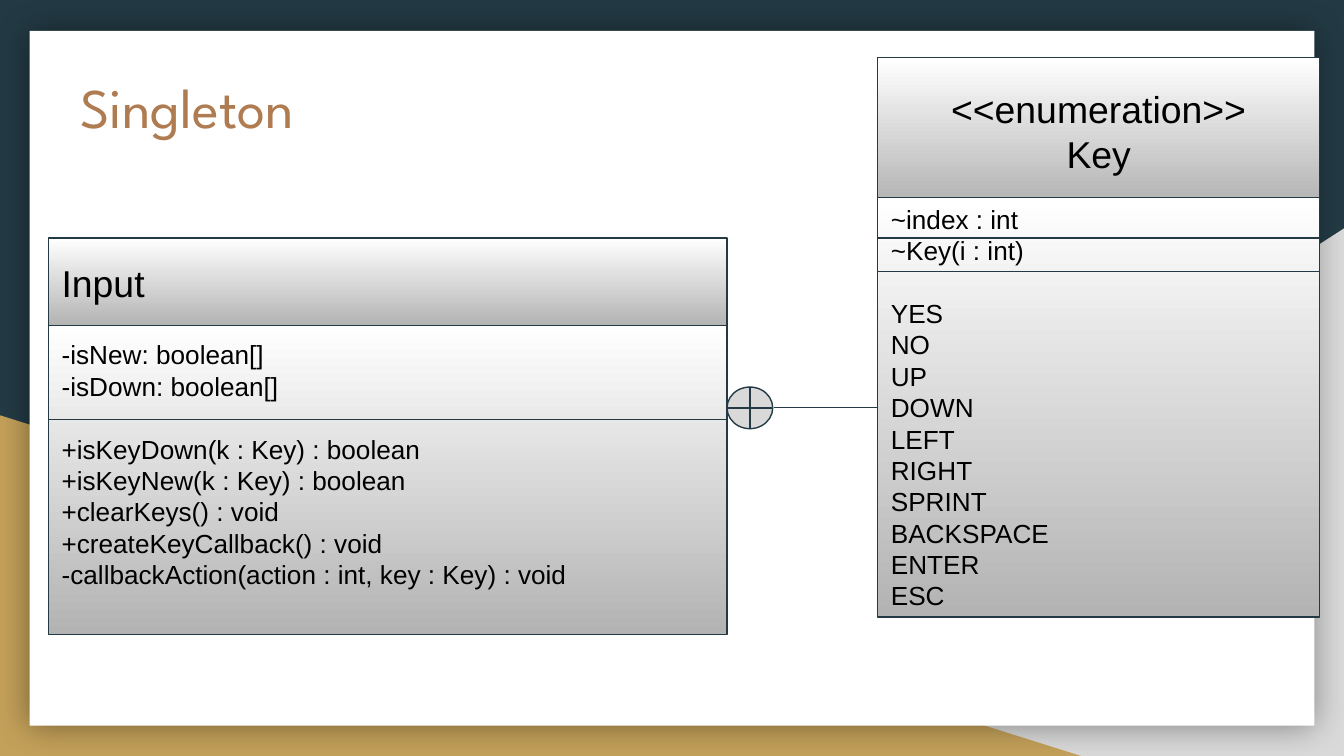
from copy import deepcopy

from lxml import etree
from pptx import Presentation, util as u
from pptx.dml.color import RGBColor
from pptx.enum import shapes, text
from pptx.oxml.ns import qn

COLORS = {
    "navy": "233A44", "gold": "C4A15A", "grey": "D9D9D9", "white": "FFFFFF",
    "silver": "B3B3B3", "black": "000000", "bronze": "AF7B51",
}
SHAPE = shapes.MSO_SHAPE
SECTION_GAP = 16.8  # one line of member text, in points
INSET = 0.1

KEY_LEFT, KEY_WIDTH = 6.53, 3.29
INPUT_LEFT, INPUT_WIDTH = 0.36, 5.05

# Sections hold paragraphs; a newline is a line break within a paragraph.
KEY_SECTIONS = [
    ["~index : int", "~Key(i : int)"],
    ["YES\nNO\nUP\nDOWN\nLEFT\nRIGHT \nSPRINT\nBACKSPACE\nENTER\nESC"],
]
INPUT_SECTIONS = [
    ["-isNew: boolean[]", "-isDown: boolean[]"],
    ["+isKeyDown(k : Key) : boolean", "+isKeyNew(k : Key) : boolean",
     "+clearKeys() : void", "+createKeyCallback() : void",
     "-callbackAction(action : int, key : Key) : void"],
]


def color(name):
    return RGBColor.from_string(COLORS[name])


def apply(target, values):
    for name, value in values.items():
        setattr(target, name, value)


def outline(line):
    line.color.rgb = color("navy")
    line.width = u.Pt(0.75)


def add_flat(parent, kind, box, fill):
    """Add a plain filled shape without outline or shadow."""
    shape = parent.add_shape(kind, *map(u.Inches, box))
    shape.fill.solid()
    shape.fill.fore_color.rgb = color(fill)
    shape.line.fill.background()
    shape.shadow.inherit = False
    return shape


def add_backdrop(slide):
    slide.background.fill.solid()
    slide.background.fill.fore_color.rgb = color("navy")
    right_corner = add_flat(slide.shapes, SHAPE.RIGHT_TRIANGLE,
                            (3.92, 1.7, 6.08, 3.93), "grey")
    right_corner._element.spPr.xfrm.set("flipH", "1")
    add_flat(slide.shapes, SHAPE.RIGHT_TRIANGLE, (0, 3.09, 8.06, 2.54), "gold")
    card = add_flat(slide.shapes, SHAPE.RECTANGLE, (0.22, 0.23, 9.56, 5.17), "white")
    effects = card._element.spPr.find(qn("a:effectLst"))
    glow = etree.SubElement(effects, qn("a:outerShdw"), blurRad=str(u.Pt(18)),
                            dist="0", dir="0", algn="ctr", rotWithShape="0")
    tint = etree.SubElement(glow, qn("a:srgbClr"), val=COLORS["black"])
    etree.SubElement(tint, qn("a:alpha"), val="40000")


def add_title(slide, wording):
    title = slide.shapes.title
    slide.shapes._spTree.append(title._element)  # bring in front of the card
    apply(title, dict(zip(("left", "top", "width", "height"),
                          map(u.Inches, (0.5, 0.44, 8.21, 1.04)))))
    write(title.text_frame, [[wording]], 30, "bronze", "League Spartan",
          anchor=text.MSO_ANCHOR.TOP)


def add_runs(paragraph, wording, size, ink, font):
    for row, words in enumerate(wording.split("\n")):
        if row:
            paragraph.add_line_break()
        run = paragraph.add_run()
        run.text = words
        apply(run.font, {"size": u.Pt(size), "name": font})
        run.font.color.rgb = color(ink)
    for line_break in paragraph._p.findall(qn("a:br")):
        line_break.append(deepcopy(run._r.rPr))


def write(frame, sections, size, ink="black", font="Arial",
          align=text.PP_ALIGN.LEFT, anchor=text.MSO_ANCHOR.MIDDLE, bottom=INSET):
    """Write sections of paragraphs, with a gap before each later section."""
    margin = u.Inches(INSET)
    apply(frame, {"word_wrap": True, "auto_size": text.MSO_AUTO_SIZE.NONE,
                  "vertical_anchor": anchor, "margin_left": margin,
                  "margin_right": margin, "margin_top": margin,
                  "margin_bottom": u.Inches(bottom)})
    paragraph = frame.paragraphs[0]
    for number, section in enumerate(sections):
        for row, wording in enumerate(section):
            if number or row:
                paragraph = frame.add_paragraph()
            gap = SECTION_GAP if number and not row else 0
            apply(paragraph, {"alignment": align, "line_spacing": 1.0,
                              "space_before": u.Pt(gap), "space_after": u.Pt(0)})
            add_runs(paragraph, wording, size, ink, font)


def add_compartment(parent, box, sections, size, **layout):
    """Add one shaded compartment of a class box."""
    compartment = parent.add_shape(SHAPE.RECTANGLE, *map(u.Inches, box))
    compartment.fill.gradient()
    compartment.fill.gradient_angle = 270
    for stop, name, position in zip(compartment.fill.gradient_stops,
                                    ("white", "silver"), (0, 1)):
        stop.color.rgb = color(name)
        stop.position = position
    outline(compartment.line)
    compartment.shadow.inherit = False
    write(compartment.text_frame, sections, size, **layout)
    return compartment


def add_line(parent, start, end):
    line = parent.add_connector(shapes.MSO_CONNECTOR.STRAIGHT,
                                *map(u.Inches, start + end))
    outline(line.line)
    etree.SubElement(line._element.spPr, qn("a:effectLst"))
    return line


def add_divider(parent, left, width, y):
    add_line(parent, (left, y), (left + width, y))


def add_key_class(slide):
    group = slide.shapes.add_group_shape().shapes
    add_compartment(group, (KEY_LEFT, 0.43, KEY_WIDTH, 1.09),
                    [["<<enumeration>>", "Key"]], 20, align=text.PP_ALIGN.CENTER)
    members = add_compartment(group, (KEY_LEFT, 1.47, KEY_WIDTH, 3.12),
                              KEY_SECTIONS, 14)
    add_divider(slide.shapes, KEY_LEFT, KEY_WIDTH, 1.77)
    return members


def add_input_class(slide):
    group = slide.shapes.add_group_shape().shapes
    add_compartment(group, (INPUT_LEFT, 1.77, INPUT_WIDTH, 0.66), [["Input"]], 20)
    add_compartment(group, (INPUT_LEFT, 2.42, INPUT_WIDTH, 2.3),
                    INPUT_SECTIONS, 14, bottom=INSET + 0.23)
    add_divider(group, INPUT_LEFT, INPUT_WIDTH, 3.12)


def add_nesting(slide, key_members):
    """Link the nested Key enumeration to Input with a circled plus."""
    anchor = add_flat(slide.shapes, SHAPE.FLOWCHART_OR,
                      (INPUT_LEFT + INPUT_WIDTH, 2.88, 0.34, 0.31), "grey")
    outline(anchor.line)
    link = add_line(slide.shapes, (KEY_LEFT, 3.03), (5.76, 3.03))
    link.begin_connect(key_members, 1)


def main():
    deck = Presentation()
    deck.slide_width = u.Inches(10)
    deck.slide_height = u.Inches(10 * 9 / 16)
    slide = deck.slides.add_slide(deck.slide_layouts[5])
    add_backdrop(slide)
    add_title(slide, "Singleton")
    key_members = add_key_class(slide)
    add_input_class(slide)
    add_divider(slide.shapes, KEY_LEFT, KEY_WIDTH, 2.02)
    add_nesting(slide, key_members)
    deck.save("out.pptx")


if __name__ == "__main__":
    main()
